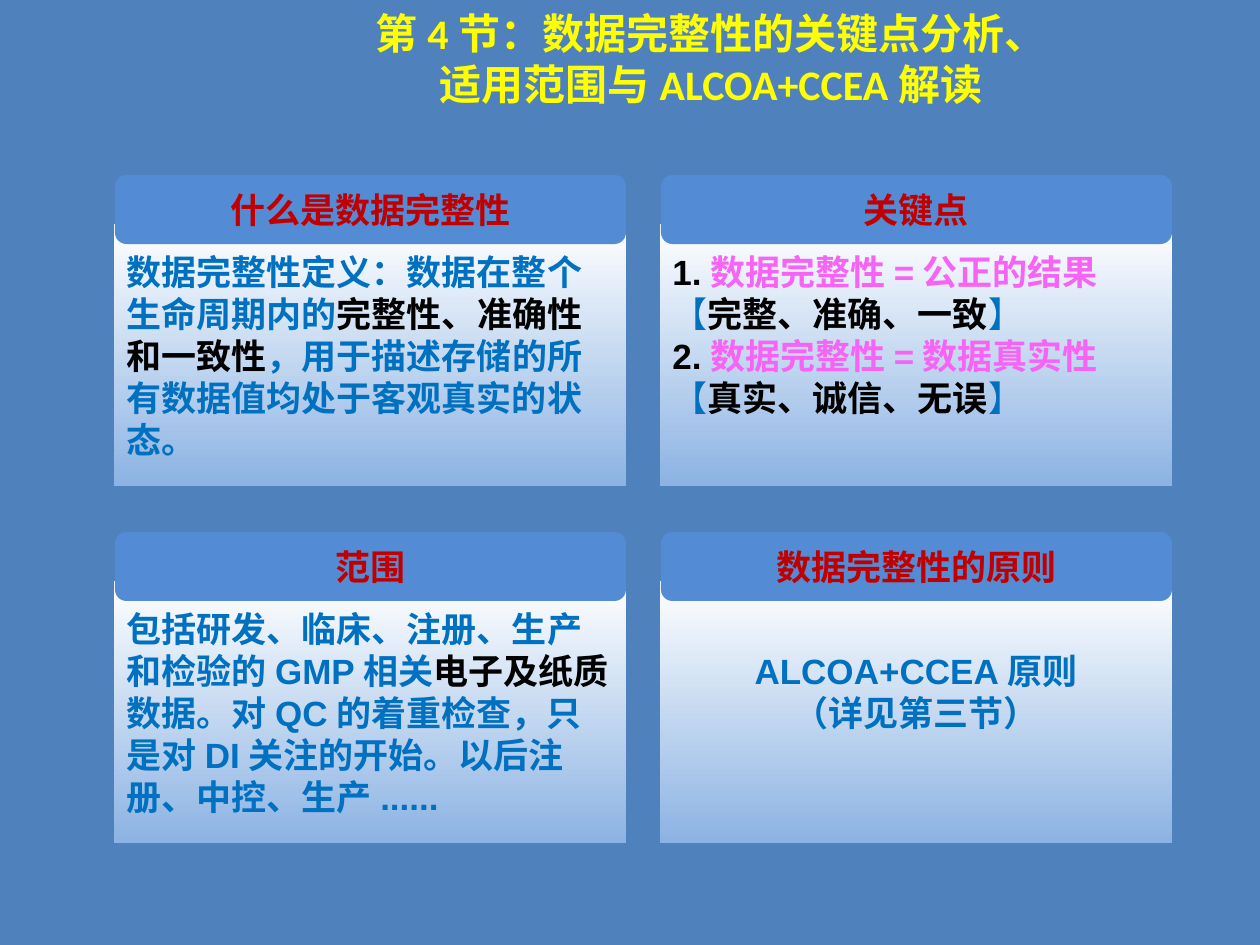
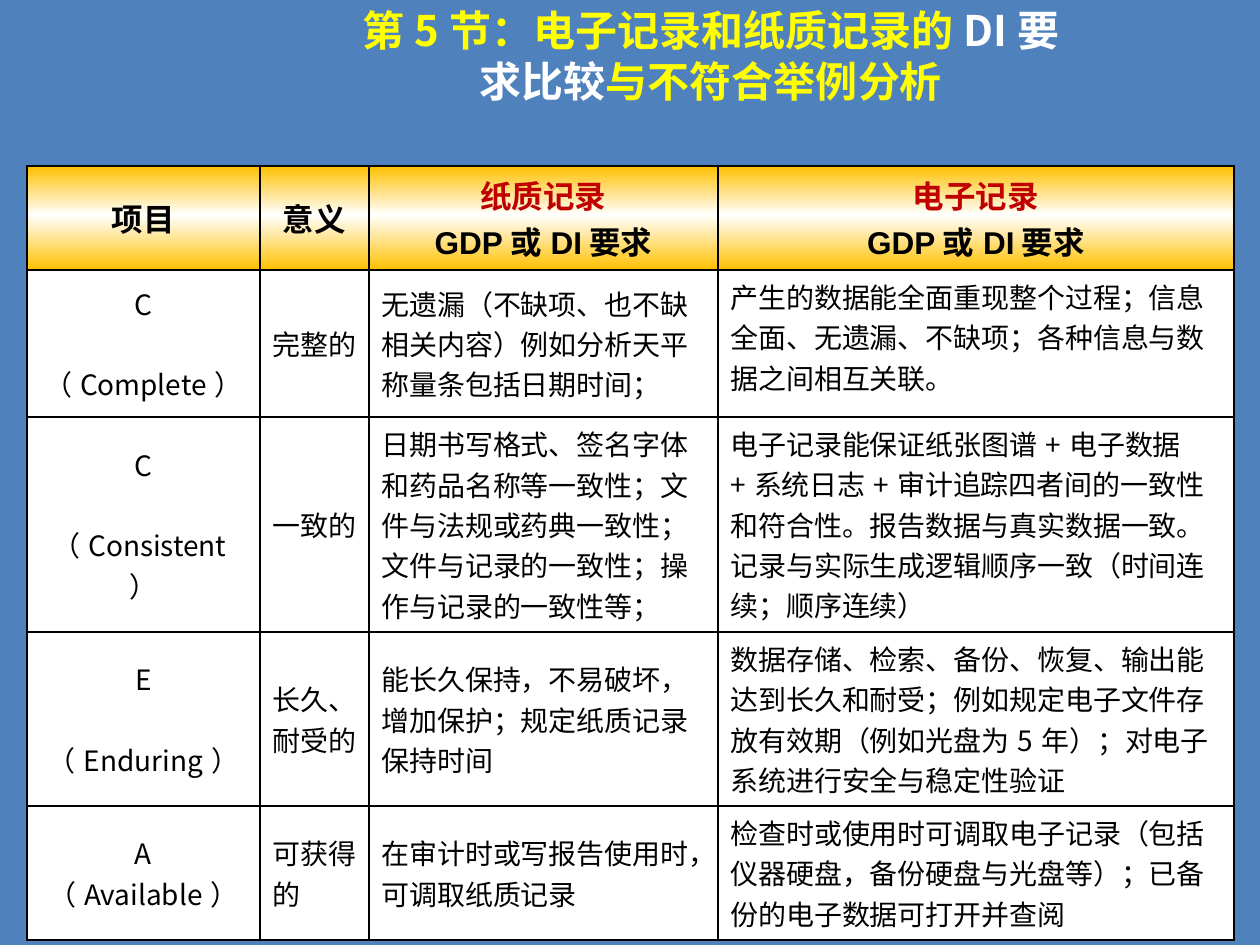
from lxml import etree
from pptx import Presentation
from pptx.dml.color import RGBColor
from pptx.enum.shapes import MSO_SHAPE
from pptx.enum.text import MSO_ANCHOR, PP_ALIGN
from pptx.oxml.ns import qn
from pptx.util import Emu, Pt

RECTANGLE = MSO_SHAPE.RECTANGLE
ROUNDED = MSO_SHAPE.ROUNDED_RECTANGLE
LEFT, CENTER = PP_ALIGN.LEFT, PP_ALIGN.CENTER
TOP, MIDDLE = MSO_ANCHOR.TOP, MSO_ANCHOR.MIDDLE

PX = 914400 / 126
HAN_FONT = "Noto Sans CJK SC"

BACKGROUND = RGBColor(0x4F, 0x81, 0xBD)
YELLOW = RGBColor(0xFF, 0xFF, 0x00)
WHITE = RGBColor(0xFF, 0xFF, 0xFF)
BLACK = RGBColor(0, 0, 0)
RED = RGBColor(0xC0, 0, 0)
BLUE = RGBColor(0, 0x70, 0xC0)
PINK = RGBColor(0xF7, 0x63, 0xF5)
HEADING_BLUE = RGBColor(0x53, 0x8C, 0xD5)
PANEL_BLUE = RGBColor(0x8C, 0xB3, 0xE3)
GOLD = RGBColor(0xFF, 0xC0, 0x00)

PANEL_GRADIENT = [(0, WHITE), (100, PANEL_BLUE)]
HEADER_GRADIENT = [(0, GOLD), (47, WHITE), (100, GOLD)]

TITLE = {"size": 24, "font": "Calibri", "bold": True, "color": YELLOW,
         "align": CENTER, "line": Pt(29)}
HEADING = {"size": 20, "font": "Arial", "bold": True, "color": RED,
           "align": CENTER, "line": Pt(24)}
PANEL = HEADING | {"color": BLUE, "align": LEFT, "hanging": "0"}
TABLE_HEADER = {"size": 18, "font": "Arial", "bold": True, "color": BLACK,
                "align": CENTER, "line": None}
TABLE_BODY = {"size": 16, "font": HAN_FONT, "bold": False, "color": BLACK,
              "align": LEFT, "line": None}


def write_text(frame, paragraphs, style):
    """Fill a frame; each paragraph is a list of (text, style overrides)."""
    frame.word_wrap = True
    for index, runs in enumerate(paragraphs):
        paragraph = frame.paragraphs[0] if index == 0 else frame.add_paragraph()
        paragraph.alignment = style["align"]
        paragraph.line_spacing = style["line"]
        if index and "gap" in style:
            paragraph.space_before = style["gap"]
        if "hanging" in style:
            paragraph._p.get_or_add_pPr().set("hangingPunct", style["hanging"])
        for text, overrides in runs:
            look = style | overrides
            run = paragraph.add_run()
            run.text = text
            run.font.size = Pt(look["size"])
            run.font.bold = look["bold"]
            run.font.color.rgb = look["color"]
            run.font.name = look["font"]
            etree.SubElement(run.font._element, qn("a:ea"), typeface=HAN_FONT)


def set_gradient(fill, properties, stops):
    """Fill from top to bottom with (percent, colour) stops."""
    fill.gradient()
    fill.gradient_angle = 270
    stop_list = next(properties.iter(qn("a:gsLst")))
    for old_stop in list(stop_list):
        stop_list.remove(old_stop)
    for percent, color in stops:
        stop = etree.SubElement(stop_list, qn("a:gs"), pos=str(percent * 1000))
        etree.SubElement(stop, qn("a:srgbClr"), val=str(color))


presentation = Presentation()
presentation.slide_width = Emu(round(1260 * PX))
presentation.slide_height = Emu(round(945 * PX))

# Slides with their titles
titles = [
    (1, TITLE, [("第4节：数据完整性的关键点分析、适用范围与ALCOA+CCEA解读", {})]),
    (-2, TITLE | {"font": HAN_FONT}, [
        ("第5节：电子记录和纸质记录的", {}),
        ("DI要求比较", {"color": WHITE}),
        ("与不符合举例分析", {})]),
]
slides = []
for top, style, runs in titles:
    slide = presentation.slides.add_slide(presentation.slide_layouts[6])
    slide.background.fill.solid()
    slide.background.fill.fore_color.rgb = BACKGROUND
    box = slide.shapes.add_textbox(*[Emu(round(n * PX)) for n in (342, top, 738, 87)])
    write_text(box.text_frame, [runs], style)
    slides.append(slide)
panel_slide, table_slide = slides

# Section 4: two by two panels, each with a heading
DARK = {"color": BLACK}
ROSE = {"color": PINK}
BRACKET = {"font": HAN_FONT, "bold": False}
DARK_HAN = {"font": HAN_FONT, "color": BLACK}
# heading, alignment, free lines below the text, paragraphs
panels = [
    ("什么是数据完整性", LEFT, 0, [[
        ("数据完整性定义：数据在整个生命周期内的", {}),
        ("完整性、准确性和一致性", DARK),
        ("，用于描述存储的所有数据值均处于客观真实的状态。", {})]]),
    ("关键点", LEFT, 1, [
        [(number, DARK), (equation, ROSE), ("【", BRACKET), (words, DARK_HAN), ("】", BRACKET)]
        for number, equation, words in [
            ("1.", "数据完整性=公正的结果", "完整、准确、一致"),
            ("2.", "数据完整性=数据真实性", "真实、诚信、无误")]]),
    ("范围", LEFT, 0, [[
        ("包括研发、临床、注册、生产和检验的GMP相关", {}),
        ("电子及纸质", DARK),
        ("数据。对QC的着重检查，只是对DI关注的开始。以后注册、中控、生产......", {})]]),
    ("数据完整性的原则", CENTER, 1, [
        [("ALCOA+CCEA原则", {})], [("（详见第三节）", {})]]),
]
for index, (heading, align, free_lines, paragraphs) in enumerate(panels):
    left = 114 + index % 2 * 546
    top = 175 + index // 2 * 357
    group = panel_slide.shapes.add_group_shape()
    parts = [
        (RECTANGLE, (left, top + 49, 512, 262), paragraphs, PANEL | {"align": align}),
        (ROUNDED, (left + 1, top, 511, 69), [[(heading, {})]], HEADING),
    ]
    for kind, place, content, style in parts:
        shape = group.shapes.add_shape(kind, *[Emu(round(n * PX)) for n in place])
        shape.shadow.inherit = False
        shape.line.fill.background()
        shape.text_frame.vertical_anchor = MIDDLE
        write_text(shape.text_frame, content, style)
        if kind == RECTANGLE:
            set_gradient(shape.fill, shape._element.spPr, PANEL_GRADIENT)
            shape.text_frame.margin_bottom = Emu(round((6 + 42 * free_lines) * PX))
        else:
            shape.fill.solid()
            shape.fill.fore_color.rgb = HEADING_BLUE

# Section 5: comparison of paper and electronic records
column_widths = [233, 109, 349, 516]
row_heights = [104, 147, 215, 174, 134]
header = [["项目"], ["意义"], ["纸质记录", "GDP或DI要求"], ["电子记录", "GDP或DI要求"]]
records = [
    (["C", "（Complete）"], ["完整的"],
     ["无遗漏（不缺项、也不缺相关内容）例如分析天平称量条包括日期时间；"],
     ["产生的数据能全面重现整个过程；信息全面、无遗漏、不缺项；各种信息与数据之间相互关联。"]),
    (["C", "（Consistent）"], ["一致的"],
     ["日期书写格式、签名字体和药品名称等一致性；文件与法规或药典一致性；"
      "文件与记录的一致性；操作与记录的一致性等；"],
     ["电子记录能保证纸张图谱+电子数据+系统日志+审计追踪四者间的一致性和符合性。"
      "报告数据与真实数据一致。记录与实际生成逻辑顺序一致（时间连续；顺序连续）"]),
    (["E", "（Enduring）"], ["长久、耐受的"],
     ["能长久保持，不易破坏，增加保护；规定纸质记录保持时间"],
     ["数据存储、检索、备份、恢复、输出能达到长久和耐受；例如规定电子文件存放有效期"
      "（例如光盘为5年）；对电子系统进行安全与稳定性验证"]),
    (["A", "（Available）"], ["可获得的"],
     ["在审计时或写报告使用时，可调取纸质记录"],
     ["检查时或使用时可调取电子记录（包括仪器硬盘，备份硬盘与光盘等）；"
      "已备份的电子数据可打开并查阅"]),
]
place = (27, 166, sum(column_widths), sum(row_heights))
table = table_slide.shapes.add_table(
    len(row_heights), len(column_widths), *[Emu(round(n * PX)) for n in place]).table
table.first_row = False
table.horz_banding = False
for column, width in zip(table.columns, column_widths):
    column.width = Emu(round(width * PX))
for row, height in zip(table.rows, row_heights):
    row.height = Emu(round(height * PX))

for row_index, row in enumerate([header, *records]):
    for column_index, lines in enumerate(row):
        cell = table.cell(row_index, column_index)
        properties = cell._tc.get_or_add_tcPr()
        cell.vertical_anchor = MIDDLE
        if row_index == 0:
            style = TABLE_HEADER
            set_gradient(cell.fill, properties, HEADER_GRADIENT)
        else:
            style = TABLE_BODY
            cell.fill.solid()
            cell.fill.fore_color.rgb = WHITE
            if column_index == 0:
                gap = Pt(0) if lines[0] == "A" else Pt(23)
                style = style | {"align": CENTER, "gap": gap}
            elif column_index == 3:
                cell.vertical_anchor = TOP
        paragraphs = [[(line, {"color": RED} if line.endswith("记录") and row_index == 0 else {})]
                      for line in lines]
        write_text(cell.text_frame, paragraphs, style)
        for position, side in enumerate(["lnL", "lnR", "lnT", "lnB"]):
            border = etree.Element(qn(f"a:{side}"), w=str(Pt(1)))
            solid = etree.SubElement(border, qn("a:solidFill"))
            etree.SubElement(solid, qn("a:srgbClr"), val=str(BLACK))
            properties.insert(position, border)

presentation.save("out.pptx")
